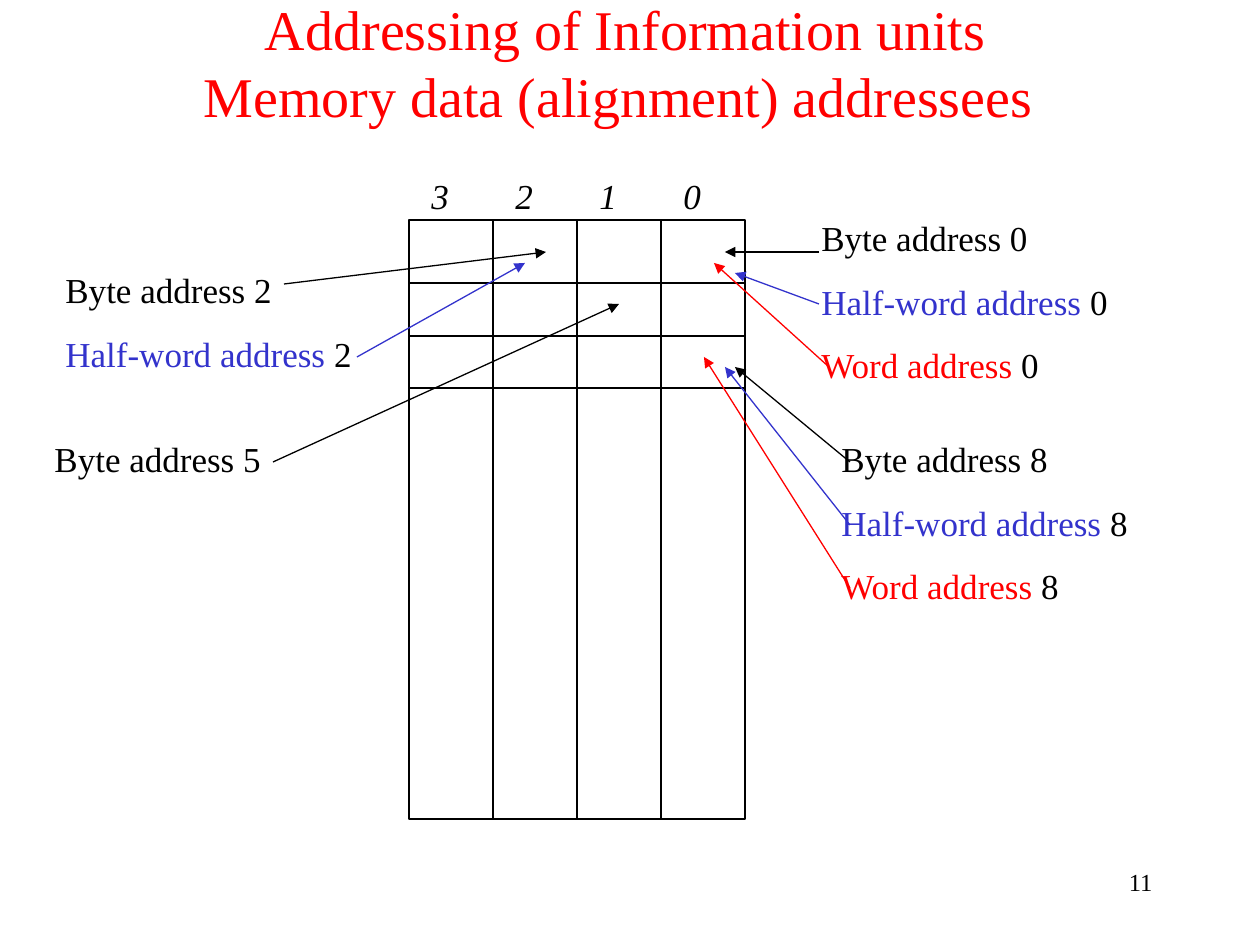
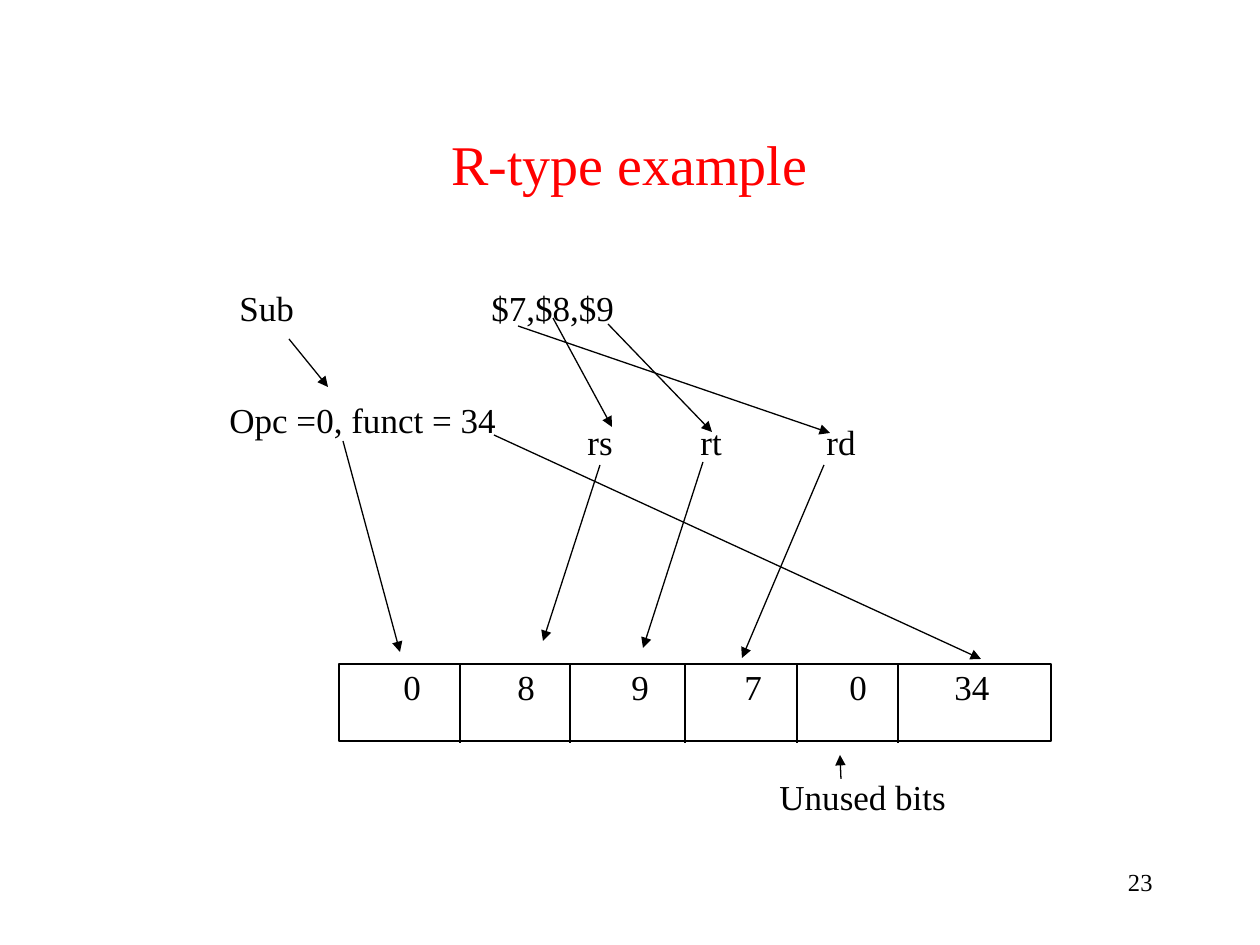
from dataclasses import dataclass

from lxml import etree
from pptx import Presentation
from pptx.dml.color import RGBColor
from pptx.enum import shapes, text
from pptx.oxml.ns import qn
from pptx.util import Emu, Pt


@dataclass(frozen=True)
class Theme:
    font: str = "Times New Roman"
    ink: str = "000000"
    blue: str = "3333CC"
    red: str = "FF0000"
    title_size: int = 32
    body_size: int = 20
    number_size: int = 14
    line_width: float = 0.75
    space_before: float = 12.5


THEME = Theme()
PX_PER_INCH = 126
SLIDE_SIZE = (1260, 945)
NUMBER_BOX = (903, 861, 262, 63)
INSET = 13
LABEL_HEIGHT = 55

# Content: memory alignment
MEMORY = {
    "page": "11",
    "title": "Addressing of Information units\vMemory data (alignment) addressees ",
    "title_box": (42, 0, 1167, 123),
    "bytes": ["3", "2", "1", "0"],
    "left": 409, "byte_width": 84, "header_top": 168,
    "word_edges": [220, 283, 336, 388, 819],
}
UNIT_COLORS = {"Byte": THEME.ink, "Half-word": THEME.blue, "Word": THEME.red}
# Box left, top, width; then unit, address, arrow start, arrow tip
ADDRESS_GROUPS = [
    ((809, 210, 368), [
        ("Byte", 0, (819, 252), (725, 252)),
        ("Half-word", 0, (819, 304), (735, 273)),
        ("Word", 0, (829, 367), (714, 263))]),
    ((53, 262, 336), [
        ("Byte", 2, (284, 284), (546, 252)),
        ("Half-word", 2, (357, 357), (525, 263))]),
    ((829, 431, 368), [
        ("Byte", 8, (850, 462), (735, 367)),
        ("Half-word", 8, (850, 525), (725, 367)),
        ("Word", 8, (850, 588), (704, 357))]),
    ((42, 431, 336), [
        ("Byte", 5, (273, 462), (619, 304))]),
]

# Content: R-type instruction
R_TYPE = {
    "page": "23",
    "title": "R-type example",
    "title_box": (94, 84, 1071, 158),
    "word_box": (339, 664, 712, 77),
    "dividers": [460, 570, 685, 797, 898],
    "divider_ends": (664, 743),
}
# Text, text left, box top, box width
R_TYPE_LABELS = [
    ("Sub", 240, 280, 120),
    ("$7,$8,$9", 492, 280, 200),
    ("Opc =0, funct = 34", 230, 392, 420),
    ("Unused bits", 780, 769, 195),
]
REGISTER_LABELS = {"top": 414, "items": [("rs", 588), ("rt", 701), ("rd", 827)]}
FIELD_LABELS = {"top": 659, "items": [("0", 404), ("8", 518), ("9", 632),
                                      ("7", 745), ("0", 850), ("34", 955)]}
R_TYPE_ARROWS = [
    ((289, 339), (328, 387)),   # Sub to opcode
    ((553, 318), (612, 427)),   # $8 to rs
    ((608, 324), (712, 432)),   # $9 to rt
    ((518, 326), (830, 433)),   # $7 to rd
    ((343, 441), (400, 652)),   # opcode to its field
    ((494, 435), (981, 659)),   # funct to its field
    ((824, 465), (742, 658)),   # rd to its field
    ((703, 462), (643, 648)),   # rt to its field
    ((600, 465), (543, 641)),   # rs to its field
    ((841, 779), (840, 755)),   # note to unused field
]


# Shared drawing helpers
def px(*lengths):
    return [Emu(round(length * 914400 / PX_PER_INCH)) for length in lengths]


def apply(target, **formats):
    for name, value in formats.items():
        setattr(target, name, value)


def style_run(run, color, size, italic=False):
    apply(run.font, name=THEME.font, size=Pt(size), italic=italic)
    run.font.color.rgb = RGBColor.from_string(color)


def add_label(slide, box, lines, size=THEME.body_size, italic=False,
              align=text.PP_ALIGN.LEFT):
    """Each line is a list of (wording, colour) runs."""
    frame = slide.shapes.add_textbox(*px(*box)).text_frame
    apply(frame, word_wrap=True, auto_size=text.MSO_AUTO_SIZE.NONE)
    for index, line in enumerate(lines):
        paragraph = frame.add_paragraph() if index else frame.paragraphs[0]
        apply(paragraph, alignment=align, space_before=Pt(THEME.space_before))
        for wording, color in line:
            run = paragraph.add_run()
            run.text = wording
            style_run(run, color, size, italic)


def add_line(slide, start, end, color=THEME.ink, arrow=False):
    line = slide.shapes.add_connector(shapes.MSO_CONNECTOR.STRAIGHT,
                                      *px(*start, *end))
    line.line.width = Pt(THEME.line_width)
    line.line.color.rgb = RGBColor.from_string(color)
    if arrow:
        etree.SubElement(line.line._get_or_add_ln(), qn("a:tailEnd"), type="triangle")
    etree.SubElement(line._element.spPr, qn("a:effectLst"))


def add_frame(slide, box):
    frame = slide.shapes.add_shape(shapes.MSO_SHAPE.RECTANGLE, *px(*box))
    frame.shadow.inherit = False
    frame.fill.background()
    frame.line.width = Pt(THEME.line_width)
    frame.line.color.rgb = RGBColor.from_string(THEME.ink)


def start_slide(deck, content):
    slide = deck.slides.add_slide(deck.slide_layouts[5])
    title = slide.shapes.title
    left, top, width, height = px(*content["title_box"])
    apply(title, left=left, top=top, width=width, height=height)
    frame = title.text_frame
    frame.text = content["title"]
    apply(frame, word_wrap=True, auto_size=text.MSO_AUTO_SIZE.NONE,
          vertical_anchor=text.MSO_ANCHOR.MIDDLE)
    frame.paragraphs[0].alignment = text.PP_ALIGN.CENTER
    for run in frame.paragraphs[0].runs:
        style_run(run, THEME.red, THEME.title_size)
    add_label(slide, NUMBER_BOX, [[(content["page"], THEME.ink)]],
              THEME.number_size, align=text.PP_ALIGN.RIGHT)
    return slide


# Slides
def build_memory(deck):
    slide = start_slide(deck, MEMORY)
    left, byte_width = MEMORY["left"], MEMORY["byte_width"]
    edges = MEMORY["word_edges"]
    top, bottom = edges[0], edges[-1]
    width = byte_width * len(MEMORY["bytes"])

    # Memory grid with byte numbers
    add_frame(slide, (left, top, width, bottom - top))
    for column, number in enumerate(MEMORY["bytes"]):
        x = left + column * byte_width
        if column:
            add_line(slide, (x, top), (x, bottom))
        add_label(slide, (x + 10, MEMORY["header_top"], 73, LABEL_HEIGHT),
                  [[(number, THEME.ink)]], italic=True)
    for y in edges[1:-1]:
        add_line(slide, (left, y), (left + width, y))

    # Address labels and their arrows
    for (x, y, label_width), addresses in ADDRESS_GROUPS:
        lines = [[(f"{unit} address", UNIT_COLORS[unit]), (f" {address}", THEME.ink)]
                 for unit, address, _, _ in addresses]
        add_label(slide, (x, y, label_width, 64 * len(lines) - 10), lines)
        for unit, _, start, tip in addresses:
            add_line(slide, start, tip, UNIT_COLORS[unit], arrow=True)


def build_r_type(deck):
    slide = start_slide(deck, R_TYPE)

    # Instruction word
    add_frame(slide, R_TYPE["word_box"])
    top, bottom = R_TYPE["divider_ends"]
    for x in R_TYPE["dividers"]:
        add_line(slide, (x, top), (x, bottom))

    # Labels and arrows
    labels = R_TYPE_LABELS + [(wording, x, row["top"], 80)
                              for row in (REGISTER_LABELS, FIELD_LABELS)
                              for wording, x in row["items"]]
    for wording, x, y, width in labels:
        add_label(slide, (x - INSET, y, width, LABEL_HEIGHT), [[(wording, THEME.ink)]])
    for start, tip in R_TYPE_ARROWS:
        add_line(slide, start, tip, arrow=True)


def main():
    deck = Presentation()
    deck.slide_width, deck.slide_height = px(*SLIDE_SIZE)
    build_memory(deck)
    build_r_type(deck)
    deck.save("out.pptx")


if __name__ == "__main__":
    main()
